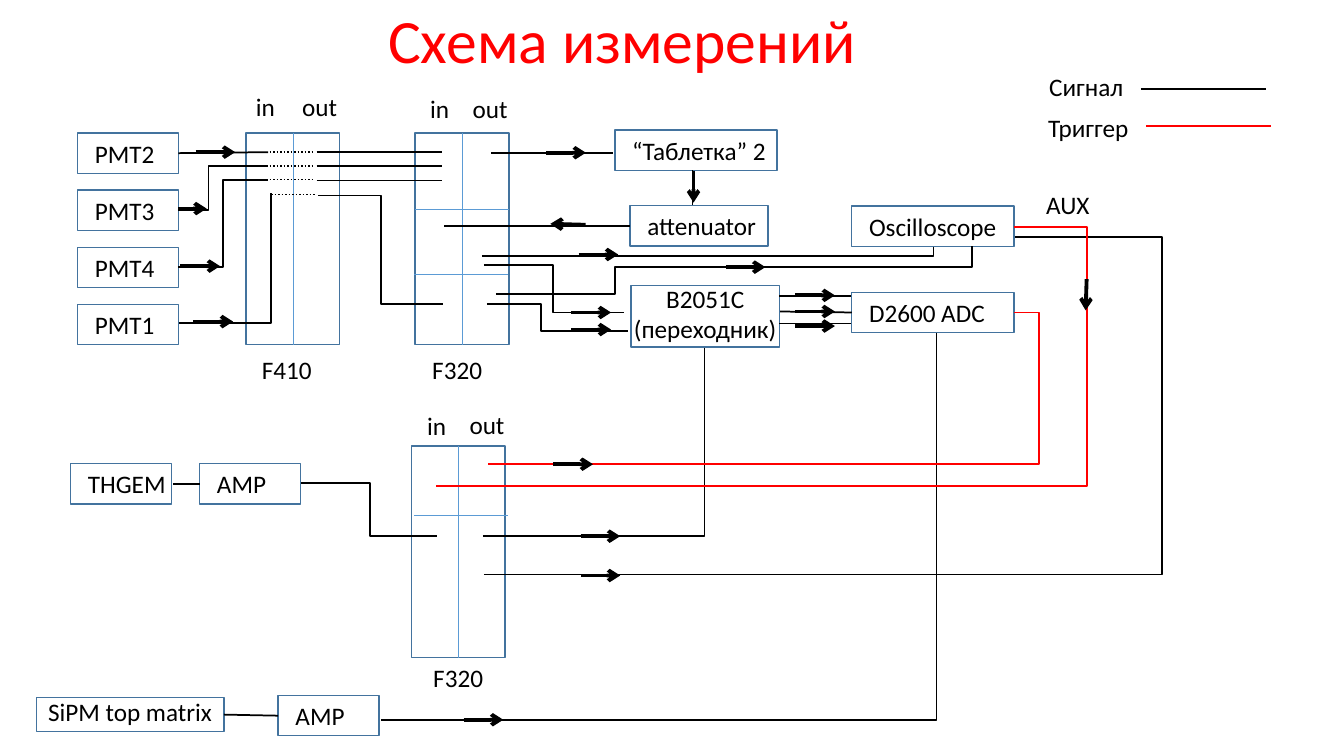
"""Builds the measurement scheme slide with modules, signal lines and trigger lines."""
from lxml import etree
from pptx import Presentation
from pptx.dml.color import RGBColor
from pptx.enum import dml, shapes, text
from pptx.oxml import ns
from pptx.util import Pt

BLACK = RGBColor(0x00, 0x00, 0x00)
RED = RGBColor(0xFF, 0x00, 0x00)
BORDER = RGBColor(0x43, 0x73, 0x9E)
DIVIDER = RGBColor(0x5B, 0x9B, 0xD5)
ROW = 28.8


class Scheme:
    """Holds the style and the current slide and draws each kind of element."""

    def __init__(self, s, font="Calibri", size=18, width=1.25):
        self.s, self.font, self.size, self.width = s, font, size, width

    def set_text(self, tf, words, size, color, align):
        tf.word_wrap = True
        tf.text = words
        for p in tf.paragraphs:
            p.alignment = align
            for r in p.runs:
                r.font.name, r.font.size = self.font, Pt(size)
                r.font.color.rgb = color

    def label(self, words, x, y, w):
        sp = self.s.shapes.add_textbox(Pt(x), Pt(y), Pt(w), Pt(ROW))
        self.set_text(sp.text_frame, words, self.size, BLACK, text.PP_ALIGN.LEFT)

    def title(self, words, x, y, w, h):
        sp = self.s.shapes.add_textbox(Pt(x), Pt(y), Pt(w), Pt(h))
        self.set_text(sp.text_frame, words, 44, RED, text.PP_ALIGN.CENTER)
        sp.text_frame.vertical_anchor = text.MSO_ANCHOR.MIDDLE
        sp.text_frame.paragraphs[0].line_spacing = 0.9

    def box(self, words, x, y, w, h=ROW, centred=False, lift=0):
        sp = self.s.shapes.add_shape(shapes.MSO_SHAPE.RECTANGLE, Pt(x), Pt(y), Pt(w), Pt(h))
        sp.shadow.inherit = False
        sp.fill.background()
        sp.line.color.rgb, sp.line.width = BORDER, Pt(1)
        if words:
            tf = sp.text_frame
            tf.margin_left = Pt(0 if centred else 12.4)
            tf.margin_right = tf.margin_top = 0
            tf.margin_bottom = Pt(lift)
            tf.vertical_anchor = text.MSO_ANCHOR.MIDDLE
            align = text.PP_ALIGN.CENTER if centred else text.PP_ALIGN.LEFT
            self.set_text(tf, words, self.size, BLACK, align)
        return sp

    def module(self, x, y, w=67, h=151.2):
        self.box("", x, y, w, h)
        self.line(x + w / 2, y, x + w / 2, y + h, DIVIDER, 0.5)

    def line(self, x1, y1, x2, y2, color=BLACK, width=None,
             kind=shapes.MSO_CONNECTOR.STRAIGHT, start=None, end=None):
        c = self.s.shapes.add_connector(kind, Pt(x1), Pt(y1), Pt(x2), Pt(y2))
        c.line.color.rgb, c.line.width = color, Pt(width or self.width)
        etree.SubElement(c._element.spPr, ns.qn("a:effectLst"))
        if start is not None:
            c.begin_connect(start, 3)
        if end is not None:
            c.end_connect(end, 1)
        return c

    def dotted(self, x1, y, x2):
        self.line(x1, y, x2, y).line.dash_style = dml.MSO_LINE.ROUND_DOT

    def elbow(self, x1, y1, x2, y2, bend, color=BLACK):
        c = self.line(x1, y1, x2, y2, color, kind=shapes.MSO_CONNECTOR.ELBOW)
        geom = c._element.spPr.find(ns.qn("a:prstGeom"))
        if bend == x2:
            geom.set("prst", "bentConnector2")
            return
        guides = geom.find(ns.qn("a:avLst"))
        ratio = round((bend - x1) / (x2 - x1) * 100000)
        etree.SubElement(guides, ns.qn("a:gd"), name="adj1", fmla=f"val {ratio}")

    def arrow(self, x, y, dx=28.3, dy=0):
        c = self.line(x, y, x + dx, y + dy, width=2.75)
        ln = c._element.spPr.find(ns.qn("a:ln"))
        etree.SubElement(ln, ns.qn("a:tailEnd"), type="arrow")


def main():
    prs = Presentation()
    prs.slide_width, prs.slide_height = Pt(960), Pt(540)
    d = Scheme(prs.slides.add_slide(prs.slide_layouts[6]))
    d.title("Схема измерений", 0, 0, 889.2, 61.9)

    pmts = [d.box(name, 55.4, 95 + 40.8 * i, 72)
            for i, name in enumerate(("PMT2", "PMT3", "PMT4", "PMT1"))]
    d.box("“Таблетка” 2", 439.2, 92.9, 116)
    attenuator = d.box("attenuator", 450, 146.9, 98.6)
    d.box("Oscilloscope", 608.4, 147.2, 116)
    d.box("B2051C\n(переходник)", 450.7, 203.8, 106, 44, centred=True, lift=4)
    adc = d.box("D2600 ADC", 608.4, 208.8, 116)
    d.box("THGEM", 50.4, 331.2, 72)
    thgem_amp = d.box("AMP", 142.6, 331.2, 72)
    sipm = d.box("SiPM top matrix", 25.9, 498.2, 134, 24.5, centred=True, lift=4)
    sipm_amp = d.box("AMP", 198.7, 496.8, 72)

    for x, y in ((175.7, 95), (296.6, 95), (293.8, 318.5)):
        d.module(x, y)
    for x, y in ((296.6, 149.8), (296, 195.8), (296, 368.3)):
        d.line(x, y, x + 67, y, DIVIDER, 0.5)

    for words, x, y, w in (
            ("in", 175.7, 61.9, 34), ("out", 208.8, 61.9, 47), ("F410", 180, 249.8, 58),
            ("in", 300.2, 63.4, 34), ("out", 330.5, 63.4, 47), ("F320", 301.7, 249.8, 58),
            ("in", 298.1, 289.4, 34), ("out", 328.3, 288.7, 47), ("F320", 302.4, 469.4, 58),
            ("AUX", 740.2, 131.8, 47), ("Сигнал", 742.3, 47.5, 77),
            ("Триггер", 741.6, 77, 77)):
        d.label(words, x, y, w)

    d.line(127.4, 109.4, 191.5, 108.7, start=pmts[0])
    d.line(450, 161.3, 316.8, 161.3).begin_connect(attenuator, 1)
    d.line(123.8, 345.6, 142.6, 345.6, end=thgem_amp)
    d.line(159.9, 510.5, 198.7, 511.2, start=sipm, end=sipm_amp)
    d.line(557.3, 222.5, 608.4, 223.2, end=adc)
    for x1, y1, x2, y2 in (
            (351, 109.4, 437.8, 109.4), (494.6, 146.2, 494.6, 121.7),
            (556.6, 211.7, 607.7, 211.7), (556.6, 231.1, 607.7, 231.1),
            (815, 63.4, 904.3, 63.4)):
        d.line(x1, y1, x2, y2)
    d.line(818.6, 90, 907.9, 90, RED)
    for y in (108.7, 118.8, 128.9):
        d.line(226.1, y, 315.4, y)
    for x, y in ((192.6, 108.7), (192.6, 118.8), (192.6, 128.2), (193.7, 139)):
        d.dotted(x, y, x + 31.7)

    for x1, y1, x2, y2, bend in (
            (127, 149.8, 191.5, 118.8, 149), (127, 190.8, 191.5, 128.9, 159.1),
            (128.2, 231, 193.7, 138.2, 193.7), (227.5, 139.7, 316.8, 217.4, 272.2),
            (344.2, 182.9, 666.7, 176.4, 666.7), (345.6, 189.4, 445.7, 223.2, 395.3),
            (347.8, 217.4, 448.6, 236.2, 386.6), (354.2, 210.2, 558, 190.8, 439.2),
            (556.6, 190.8, 694.1, 175.7, 694.1), (215.3, 344.9, 312.5, 383, 264.2),
            (344.9, 383, 503.3, 248.4, 503.3), (272.2, 514.1, 668.9, 237.6, 668.9),
            (345.6, 410.4, 725, 169.2, 830.2)):
        d.elbow(x1, y1, x2, y2, bend)
    d.elbow(724.3, 162, 311.8, 347, 776.2, RED)
    d.elbow(724.3, 223.2, 348.5, 331.2, 742.3, RED)

    for x, y in ((139.7, 108.7), (138.2, 229.7), (128.9, 190.1), (390.2, 109.1),
                 (413.3, 181.8), (408.2, 223.2), (408.2, 235.4), (568.1, 211),
                 (568.1, 222.5), (568.1, 232.9), (395.3, 331.6), (414.7, 383),
                 (414.7, 411.1), (331.2, 514.1), (518.4, 190.8)):
        d.arrow(x, y)
    d.arrow(127.4, 149, 20.2)
    d.arrow(418.3, 160.6, -25.2, -0.7)
    d.arrow(495.4, 122.4, 0, 22.3)
    d.arrow(776.2, 199.4, -0.7, 22.3)
    prs.save("out.pptx")


if __name__ == "__main__":
    main()
